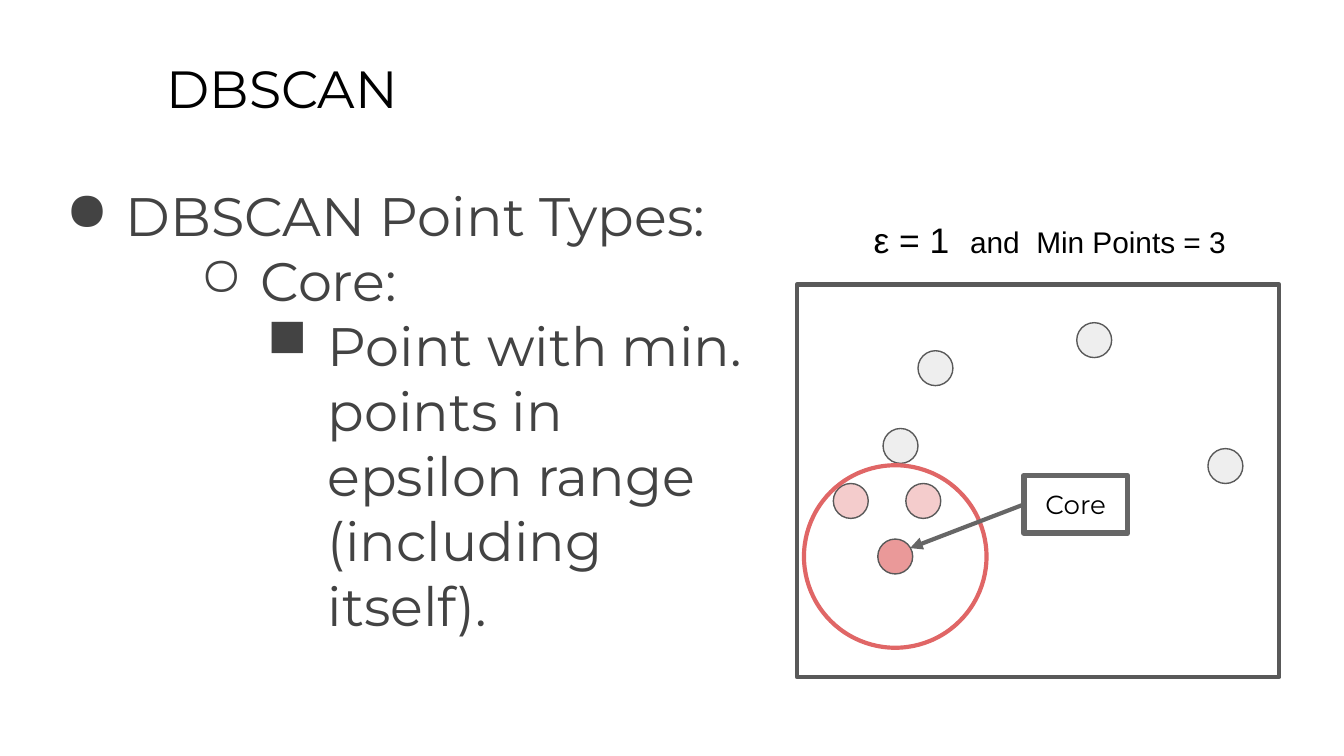
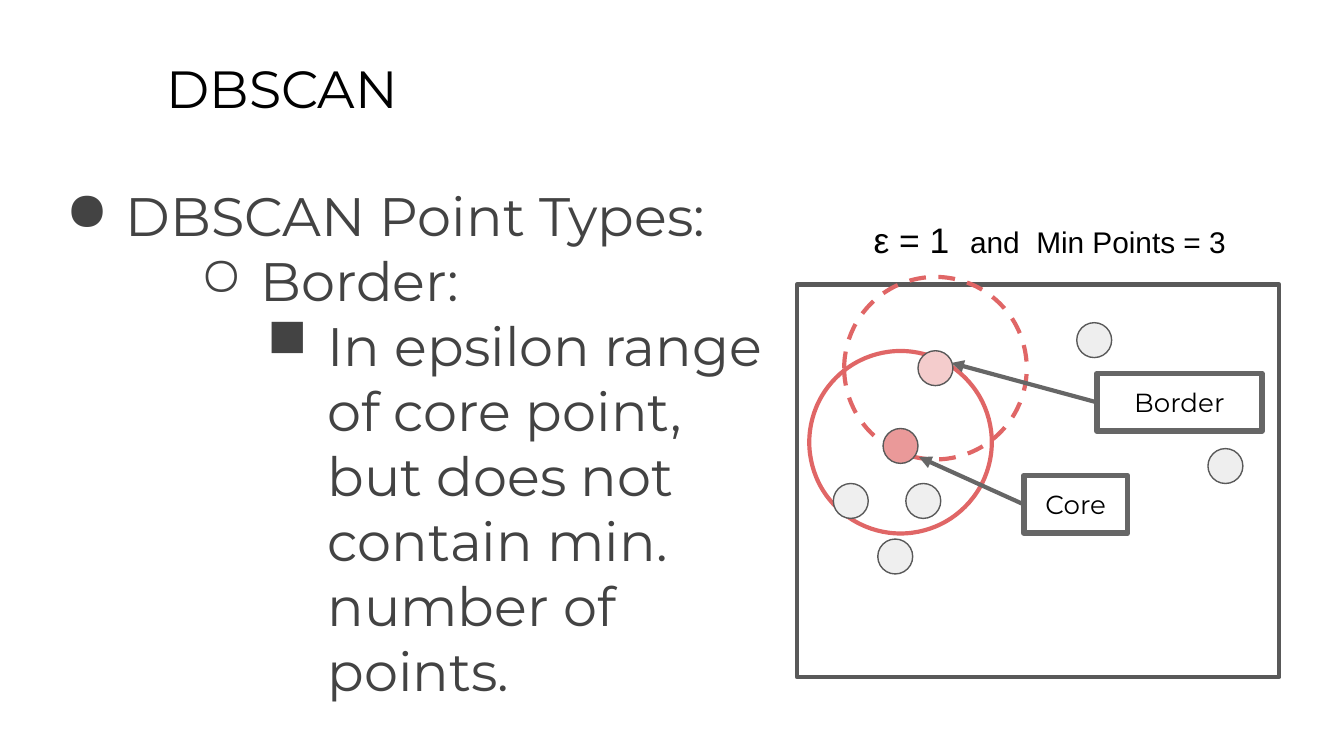
"""Build two slides on the point types of DBSCAN."""
from lxml import etree
from pptx import Presentation, util as u
from pptx.dml.color import RGBColor
from pptx.enum import dml, shapes, text
from pptx.oxml.ns import qn

BLACK = RGBColor(0x00, 0x00, 0x00)
INK = RGBColor(0x43, 0x43, 0x43)
EDGE = RGBColor(0x59, 0x59, 0x59)
GREY = RGBColor(0x66, 0x66, 0x66)
PALE = RGBColor(0xEE, 0xEE, 0xEE)
MIST = RGBColor(0xEF, 0xEF, 0xEF)
PINK = RGBColor(0xF4, 0xCC, 0xCC)
ROSE = RGBColor(0xEA, 0x99, 0x99)
RED = RGBColor(0xE0, 0x66, 0x66)
FONT = "Montserrat"

TITLE = "DBSCAN"
LEAD = "DBSCAN Point Types:"
CAPTION = [("ε = 1 ", 19), (" ", 21), ("and  Min Points = 3", 16)]
LEVELS = [("●", 1.27), ("○", 3.81), ("■", 5.08)]
HANG = 1.14
FRAME = (15.06, 5.38, 9.12, 7.42)
POINTS = [(17.02, 8.43), (16.08, 9.47), (17.45, 9.47), (16.92, 10.52),
          (17.68, 6.96), (20.68, 6.43), (23.16, 8.81)]
DOT, RING = 0.66, 3.45
LABELS = {"Core": (19.35, 8.99, 1.96, 1.09), "Border": (20.73, 7.06, 3.12, 1.09)}
SLIDES = [
    {
        "items": ["Core:", "Point with min. points in epsilon range (including itself)."],
        "width": 13.94,
        "fills": [PALE, PINK, PINK, ROSE, PALE, PALE, PALE],
        "rings": [(16.92, 10.52, False)],
        "over": True,
        "tips": {"Core": (17.2, 10.36)},
    },
    {
        "items": ["Border:", "In epsilon range of core point, but does not "
                  "contain min. number of points."],
        "width": 14.15,
        "fills": [ROSE, MIST, MIST, MIST, PINK, PALE, PALE],
        "rings": [(17.68, 6.96, True), (17.02, 8.36, False)],
        "over": False,
        "tips": {"Core": (17.37, 8.64), "Border": (17.98, 6.86)},
    },
]


def style(para, size, color, name=FONT):
    para.font.size = u.Pt(size)
    para.font.name = name
    para.font.color.rgb = color


def inset(frame):
    frame.word_wrap = True
    frame.margin_left = frame.margin_right = u.Cm(0.25)
    frame.margin_top = frame.margin_bottom = u.Cm(0.25)


def add_box(slide, area):
    frame = slide.shapes.add_textbox(*map(u.Cm, area)).text_frame
    inset(frame)
    return frame


def add_form(slide, kind, area, color, width, fill=None):
    form = slide.shapes.add_shape(kind, *map(u.Cm, area))
    form.shadow.inherit = False
    if fill is None:
        form.fill.background()
    else:
        form.fill.solid()
        form.fill.fore_color.rgb = fill
    form.line.color.rgb = color
    form.line.width = u.Pt(width)
    return form


def add_disc(slide, x, y, size, color, width, fill=None):
    area = (x - size / 2, y - size / 2, size, size)
    return add_form(slide, shapes.MSO_SHAPE.OVAL, area, color, width, fill)


def add_list(slide, lines, width):
    frame = add_box(slide, (0.86, 3.2, width, 9.5))
    for level, (line, (mark, left)) in enumerate(zip(lines, LEVELS)):
        para = frame.paragraphs[0] if level == 0 else frame.add_paragraph()
        para.text = line
        para.level = level
        props = para._p.get_or_add_pPr()
        props.set("marL", str(u.Cm(left)))
        props.set("indent", str(-u.Cm(HANG)))
        tint = etree.SubElement(props, qn("a:buClr"))
        etree.SubElement(tint, qn("a:srgbClr"), val=str(INK))
        etree.SubElement(props, qn("a:buChar"), char=mark)
        style(para, 29, INK)


def add_rings(slide, rings):
    for x, y, dashed in rings:
        ring = add_disc(slide, x, y, RING, RED, 2.25)
        if dashed:
            ring.line.dash_style = dml.MSO_LINE.DASH


def add_label(slide, name, tip):
    area = LABELS[name]
    box = add_form(slide, shapes.MSO_SHAPE.RECTANGLE, area, GREY, 3)
    inset(box.text_frame)
    para = box.text_frame.paragraphs[0]
    para.text = name
    para.alignment = text.PP_ALIGN.CENTER
    style(para, 14, BLACK)
    left, top, _, height = area
    ends = (*tip, left, top + height / 2)
    arrow = slide.shapes.add_connector(shapes.MSO_CONNECTOR.STRAIGHT, *map(u.Cm, ends))
    arrow.line.color.rgb = GREY
    arrow.line.width = u.Pt(2.25)
    etree.SubElement(arrow.line._get_or_add_ln(), qn("a:headEnd"), type="triangle")
    etree.SubElement(arrow._element.spPr, qn("a:effectLst"))


def add_plot(slide, data):
    add_form(slide, shapes.MSO_SHAPE.RECTANGLE, FRAME, EDGE, 2.25)
    if not data["over"]:
        add_rings(slide, data["rings"])
    for (x, y), fill in zip(POINTS, data["fills"]):
        add_disc(slide, x, y, DOT, EDGE, 0.75, fill)
    if data["over"]:
        add_rings(slide, data["rings"])
    para = add_box(slide, (16.26, 3.81, 7.59, 1.4)).paragraphs[0]
    for part, size in CAPTION:
        run = para.add_run()
        run.text = part
        style(run, size, BLACK, "Arial")
    for name, tip in data["tips"].items():
        add_label(slide, name, tip)


def main():
    deck = Presentation()
    deck.slide_width, deck.slide_height = u.Cm(25.4), u.Cm(14.29)
    for data in SLIDES:
        slide = deck.slides.add_slide(deck.slide_layouts[6])
        para = add_box(slide, (2.9, 0.81, 21.64, 1.6)).paragraphs[0]
        para.text = TITLE
        style(para, 28, BLACK)
        add_list(slide, [LEAD, *data["items"]], data["width"])
        add_plot(slide, data)
    deck.save("out.pptx")


if __name__ == "__main__":
    main()
